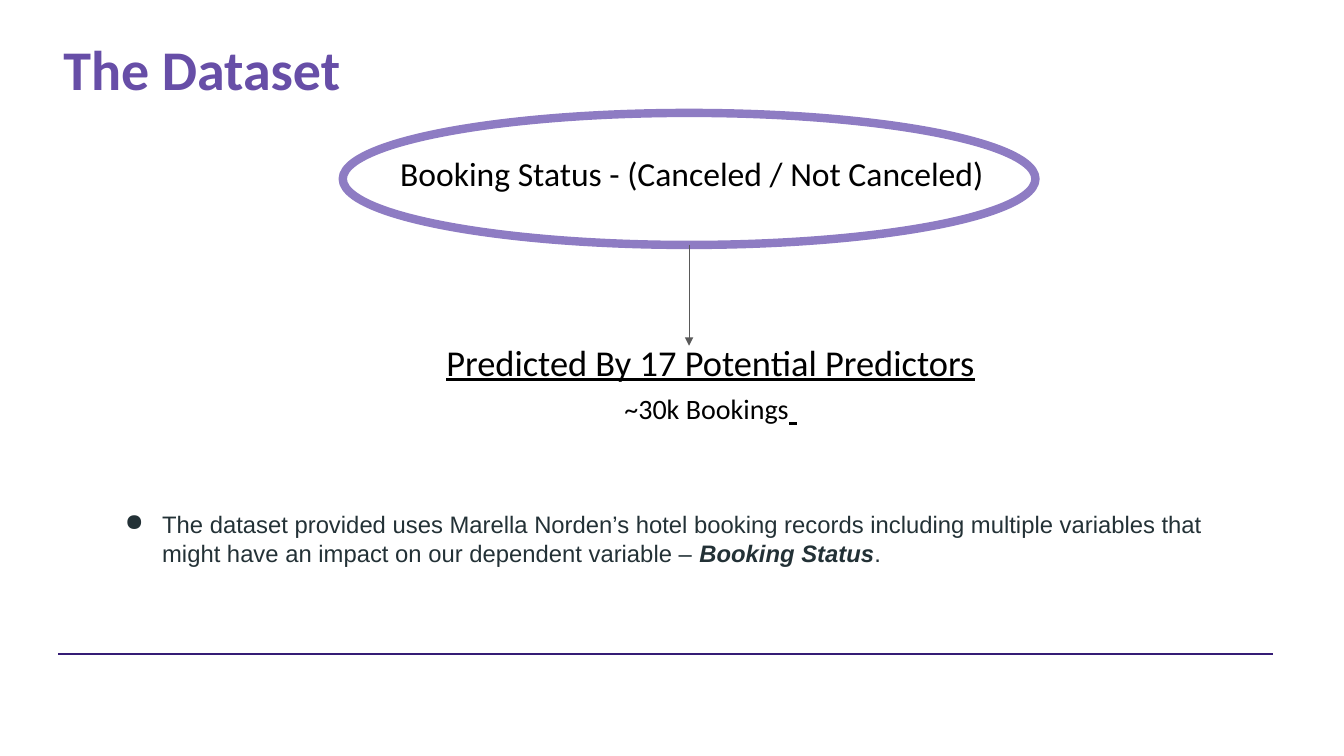
from lxml import etree
from pptx import Presentation
from pptx import util as u
from pptx.dml.color import RGBColor
from pptx.enum import shapes, text
from pptx.oxml import ns

COLOURS = {
    "title": "674EA7",
    "ellipse": "8E7CC3",
    "rule": "351C75",
    "arrow": "595959",
    "body": "233136",
    "black": "000000",
}


def colour(name):
    """Return the named colour."""
    return RGBColor.from_string(COLOURS[name])


def add_child(parent, tag, **attributes):
    """Append a DrawingML element to the parent."""
    return etree.SubElement(parent, ns.qn(tag), attributes)


def add_text_box(slide, box):
    """Add a wrapping text box and return its text frame."""
    frame = slide.shapes.add_textbox(*map(u.Inches, box)).text_frame
    frame.word_wrap = True
    frame.auto_size = text.MSO_AUTO_SIZE.SHAPE_TO_FIT_TEXT
    frame.margin_left = frame.margin_right = u.Inches(0.1)
    frame.margin_top = frame.margin_bottom = u.Inches(0.1)
    return frame


def add_run(paragraph, words, size, name, font="Calibri", **styles):
    """Add a run with its size, colour, typeface and styles."""
    run = paragraph.add_run()
    run.text = words
    run.font.size = u.Pt(size)
    run.font.name = font
    run.font.color.rgb = colour(name)
    for style, value in styles.items():
        setattr(run.font, style, value)


def add_line(slide, start, end, name, width):
    """Add a straight line without a shadow."""
    line = slide.shapes.add_connector(
        shapes.MSO_CONNECTOR.STRAIGHT, *map(u.Inches, start + end)
    )
    line.line.color.rgb = colour(name)
    line.line.width = u.Pt(width)
    add_child(line._element.spPr, "a:effectLst")
    return line


def add_title(slide, box):
    """Write the slide title."""
    paragraph = add_text_box(slide, box).paragraphs[0]
    add_run(paragraph, "The Dataset", 40, "title", bold=True)


def add_target(slide, box):
    """Draw the ringed target variable and the arrow below it."""
    left, top, width, height = box
    ellipse = slide.shapes.add_shape(
        shapes.MSO_SHAPE.OVAL, *map(u.Inches, box)
    )
    ellipse.shadow.inherit = False
    ellipse.fill.background()
    ellipse.line.color.rgb = colour("ellipse")
    ellipse.line.width = u.Pt(6)

    frame = add_text_box(slide, (left + 0.47, top + 0.3, 6.34, 0.61))
    words = "Booking Status - (Canceled / Not Canceled)"
    add_run(frame.paragraphs[0], words, 24, "black")

    middle, bottom = left + width / 2, top + height
    arrow = add_line(
        slide, (middle, bottom), (middle, bottom + 1), "arrow", 0.75
    )
    add_child(arrow.line._get_or_add_ln(), "a:tailEnd", type="triangle")


def add_predictors(slide, box):
    """Write the number of predictors and of bookings."""
    frame = add_text_box(slide, box)
    heading, count = frame.paragraphs[0], frame.add_paragraph()
    heading.alignment = count.alignment = text.PP_ALIGN.CENTER
    add_run(heading, "Predicted By 17 Potential Predictors", 26, "black",
            underline=True)
    add_run(count, "~30k Bookings", 20, "black")
    add_run(count, " ", 26, "black", underline=True)


def add_description(slide, box):
    """Write the bulleted description of the dataset."""
    paragraph = add_text_box(slide, box).paragraphs[0]
    properties = paragraph._p.get_or_add_pPr()
    properties.set("marL", str(u.Inches(0.5)))
    properties.set("indent", str(u.Inches(-0.37)))
    bullet_colour = add_child(properties, "a:buClr")
    add_child(bullet_colour, "a:srgbClr", val=COLOURS["body"])
    add_child(properties, "a:buChar", char="●")
    add_run(
        paragraph,
        "The dataset provided uses Marella Norden’s hotel booking records "
        "including multiple variables that might have an impact on our "
        "dependent variable – ",
        17, "body", "Arial",
    )
    add_run(paragraph, "Booking Status", 17, "body", "Arial",
            bold=True, italic=True)
    add_run(paragraph, ".", 17, "body", "Arial")


def main():
    """Build and save the dataset slide."""
    presentation = Presentation()
    presentation.slide_width = u.Inches(13.33)
    presentation.slide_height = u.Inches(7.5)
    slide = presentation.slides.add_slide(presentation.slide_layouts[6])
    add_line(slide, (0.58, 6.49), (12.63, 6.49), "rule", 1.5)
    add_title(slide, (0.53, 0.24, 11.65, 0.88))
    add_description(slide, (1.01, 4.96, 11.65, 0.77))
    add_target(slide, (3.4, 1.12, 6.87, 1.31))
    add_predictors(slide, (4.2, 3.27, 5.7, 1.08))
    presentation.save("out.pptx")


if __name__ == "__main__":
    main()
